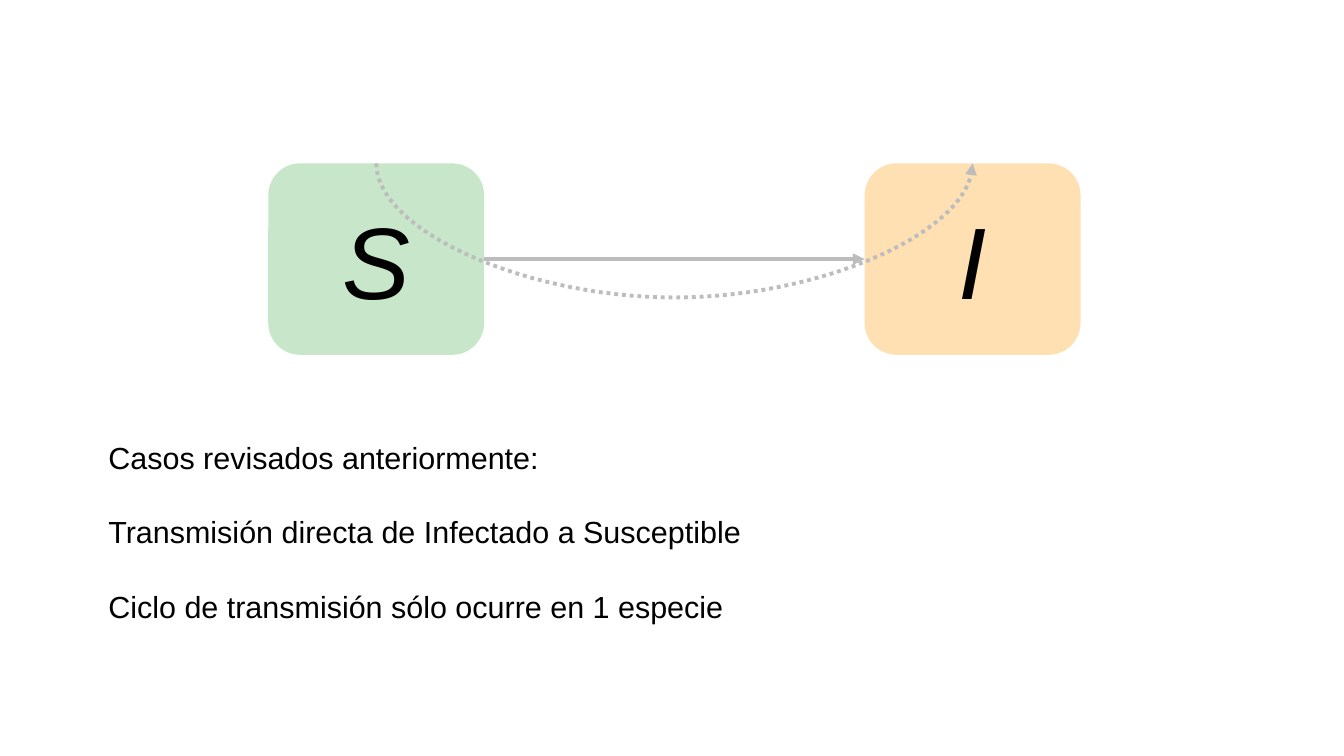
from lxml import etree
from pptx import Presentation
from pptx.dml.color import RGBColor
from pptx.enum.dml import MSO_LINE
from pptx.enum.shapes import MSO_CONNECTOR, MSO_SHAPE
from pptx.enum.text import MSO_ANCHOR, MSO_AUTO_SIZE, PP_ALIGN
from pptx.oxml.ns import qn
from pptx.util import Inches, Pt

ROUND = MSO_SHAPE.ROUNDED_RECTANGLE
STRAIGHT = MSO_CONNECTOR.STRAIGHT
DOTS = MSO_LINE.ROUND_DOT
MIDDLE = MSO_ANCHOR.MIDDLE
CENTER = PP_ALIGN.CENTER
GROW = MSO_AUTO_SIZE.SHAPE_TO_FIT_TEXT

BLACK = RGBColor(0x00, 0x00, 0x00)
GREEN = RGBColor(0xC8, 0xE6, 0xC9)
ORANGE = RGBColor(0xFF, 0xE0, 0xB2)
GRAY = RGBColor(0xBD, 0xBD, 0xBD)

STATES = [("S", 2.2, GREEN), ("I", 7.09, ORANGE)]
NOTES = [
    "Casos revisados anteriormente:",
    "Transmisión directa de Infectado a Susceptible",
    "Ciclo de transmisión sólo ocurre en 1 especie",
]
TOP, WIDE, HIGH = 1.34, 1.77, 1.57
DEPTH, STEPS = 1.1, 30


def write(para, text, size, italic=False):
    run = para.add_run()
    run.text = text
    run.font.name = "Arial"
    run.font.size = Pt(size)
    run.font.italic = italic
    run.font.color.rgb = BLACK


def add_state(slide, name, left, color):
    box = slide.shapes.add_shape(
        ROUND, Inches(left), Inches(TOP), Inches(WIDE), Inches(HIGH))
    box.shadow.inherit = False
    box.fill.solid()
    box.fill.fore_color.rgb = color
    box.line.fill.background()
    frame = box.text_frame
    frame.vertical_anchor = MIDDLE
    frame.paragraphs[0].alignment = CENTER
    write(frame.paragraphs[0], name, 60, True)


def style_arrow(shape):
    shape.line.color.rgb = GRAY
    shape.line.width = Pt(2.3)
    line = shape.line._get_or_add_ln()
    etree.SubElement(line, qn("a:tailEnd"), type="triangle")


def bend(a, b, c, d, t):
    u = 1 - t
    return u**3 * a + 3 * u * u * t * b + 3 * u * t * t * c + t**3 * d


def add_curve(slide, start, end):
    mid = (start + end) / 2
    near = (start + mid) / 2
    half = []
    for step in range(STEPS + 1):
        t = step / STEPS
        half.append((bend(start, start, near, mid, t),
                     bend(TOP, TOP + DEPTH / 2, TOP + DEPTH, TOP + DEPTH, t)))
    whole = half + [(start + end - x, y) for x, y in half[-2::-1]]
    points = [(Inches(x), Inches(y)) for x, y in whole]
    form = slide.shapes.build_freeform(*points[0])
    form.add_line_segments(points[1:], close=False)
    curve = form.convert_to_shape()
    curve.shadow.inherit = False
    curve.fill.background()
    curve.line.dash_style = DOTS
    style_arrow(curve)


def add_notes(slide):
    box = slide.shapes.add_textbox(
        Inches(0.79), Inches(3.55), Inches(9.45), Inches(1.5))
    frame = box.text_frame
    frame.word_wrap = True
    frame.auto_size = GROW
    for i, text in enumerate(NOTES):
        para = frame.add_paragraph() if i else frame.paragraphs[0]
        if i:
            para.space_before = Pt(22.4)
        write(para, text, 18)


def main():
    """Build the slide on direct transmission from S to I."""
    deck = Presentation()
    deck.slide_width, deck.slide_height = Inches(11.02), Inches(6.2)
    slide = deck.slides.add_slide(deck.slide_layouts[6])
    for state in STATES:
        add_state(slide, *state)
    first, last = [left for _, left, _ in STATES]
    level = Inches(TOP + HIGH / 2)
    arrow = slide.shapes.add_connector(
        STRAIGHT, Inches(first + WIDE), level, Inches(last), level)
    style_arrow(arrow)
    etree.SubElement(arrow._element.spPr, qn("a:effectLst"))
    add_curve(slide, first + WIDE / 2, last + WIDE / 2)
    add_notes(slide)
    deck.save("out.pptx")


if __name__ == "__main__":
    main()
